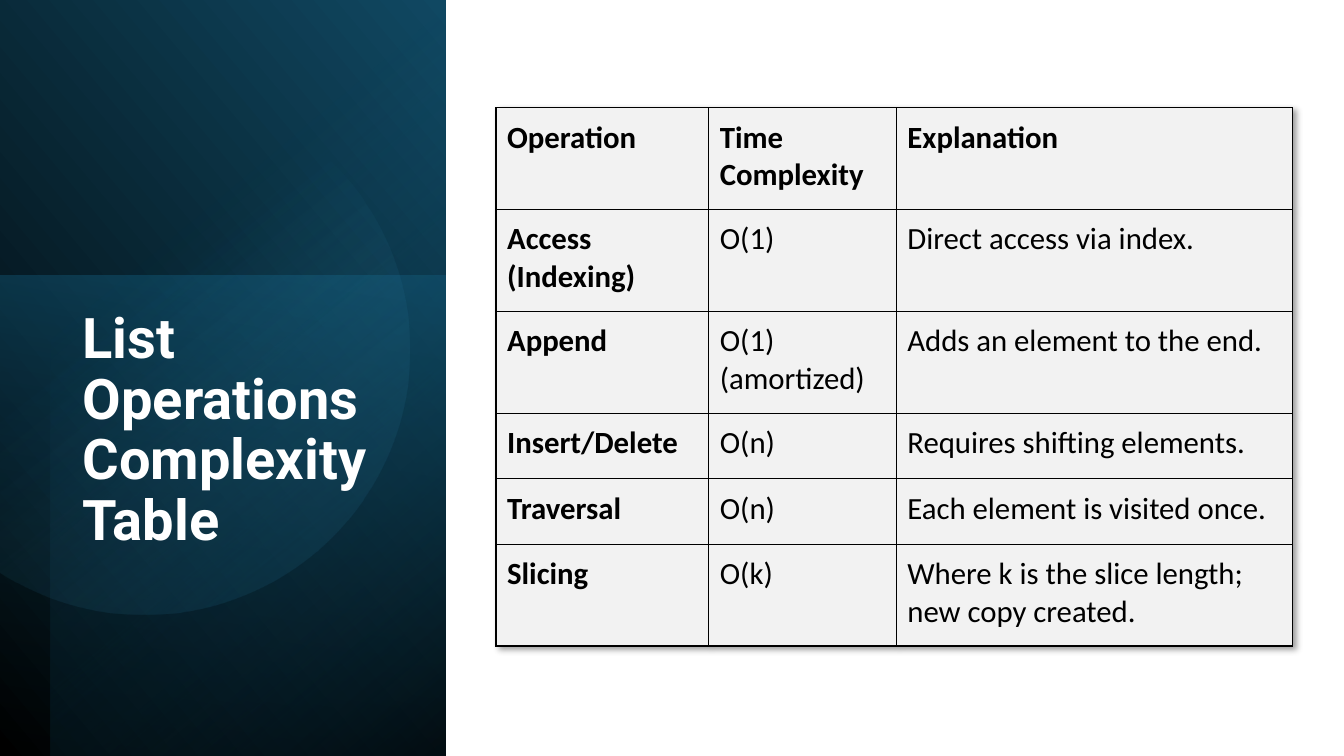
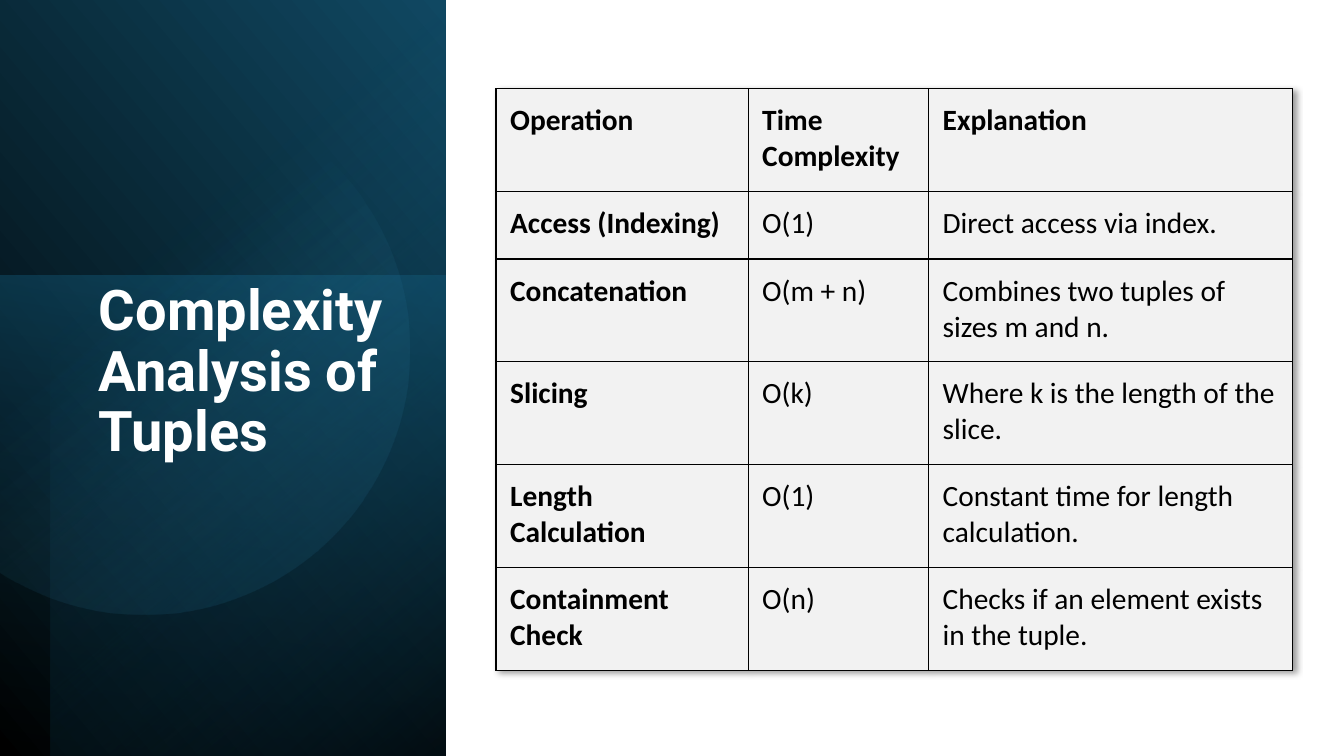
from math import acos, cos, degrees, radians, sin

from lxml import etree
from pptx import Presentation
from pptx.dml.color import RGBColor
from pptx.enum.shapes import MSO_SHAPE as Preset
from pptx.enum.text import MSO_ANCHOR as Anchor, MSO_AUTO_SIZE as AutoSize, PP_ALIGN as Align
from pptx.oxml import parse_xml
from pptx.oxml.ns import nsdecls, qn
from pptx.util import Inches, Pt

# Shared style
BLACK, WHITE, CELL_GREY = "000000", "FFFFFF", "F2F2F2"
DEEP_BLUE, NIGHT_BLUE, TEAL, SKY = "104862", "0B3041", "156082", "46B1E1"
TITLE_FONT, TABLE_FONT = "Roboto", "Calibri"
TITLE_SIZE = 40
TITLE_WIDTH, TITLE_HEIGHT = 3.15, 3.36
HEADER = ("Operation", "Time Complexity", "Explanation")


def rgb(color):
    return RGBColor.from_string(color)


def write_text(frame, text, font, size, color, bold=False, margins=(0.1, 0.05, 0.1, 0.05),
               line_spacing=None, space_after=0):
    """Write one left-aligned, top-anchored paragraph."""
    frame.word_wrap = True
    frame.vertical_anchor = Anchor.TOP
    (frame.margin_left, frame.margin_top,
     frame.margin_right, frame.margin_bottom) = map(Inches, margins)
    para = frame.paragraphs[0]
    para.alignment = Align.LEFT
    para.space_before, para.space_after = Pt(0), Pt(space_after)
    if line_spacing:
        para.line_spacing = line_spacing
    span = para.add_run()
    span.text = text
    span.font.name, span.font.size, span.font.bold = font, Pt(size), bold
    span.font.color.rgb = rgb(color)


def gradient_fill(shape, angle, *stops):
    """Fill with (position %, colour, opacity %) stops along a clockwise angle."""
    shape.shadow.inherit = False
    shape.line.fill.background()
    shape.fill.background()
    marks = "".join(
        f'<a:gs pos="{position * 1000}"><a:srgbClr val="{color}">'
        f'<a:alpha val="{opacity * 1000}"/></a:srgbClr></a:gs>'
        for position, color, opacity in stops)
    gradient = parse_xml(
        f'<a:gradFill {nsdecls("a")} rotWithShape="1"><a:gsLst>{marks}</a:gsLst>'
        f'<a:lin ang="{round(angle * 60000)}" scaled="0"/></a:gradFill>')
    properties = shape._element.spPr
    properties.replace(properties.find(qn("a:noFill")), gradient)


def add_turned_panel(page, left, top, width, height, turn, flip, angle, *stops):
    """Add a turned rectangle; the box is its upright visible area."""
    middle_x, middle_y = left + width / 2, top + height / 2
    panel = page.shapes.add_shape(
        Preset.RECTANGLE, Inches(middle_x - height / 2), Inches(middle_y - width / 2),
        Inches(height), Inches(width))
    panel.rotation = turn
    if flip:
        panel._element.spPr.find(qn("a:xfrm")).set("flipH", "1")
    gradient_fill(panel, angle, *stops)


def add_cut_circle(page, left, center_x, center_y, radius):
    """Add a circle cut off by the vertical line at left."""
    reach = degrees(acos((left - center_x) / radius))
    steps = 120
    turns = [radians(-reach + 2 * reach * step / steps) for step in range(steps + 1)]
    points = [(Inches(center_x + radius * cos(turn)), Inches(center_y + radius * sin(turn)))
              for turn in turns]
    outline = page.shapes.build_freeform(*points[0])
    outline.add_line_segments(points[1:], close=True)
    gradient_fill(outline.convert_to_shape(), 51.6, (39, SKY, 0), (100, DEEP_BLUE, 26))


def add_side_band(page, left, top, width, height):
    # Base colour, glow from the upper edge, shade in the lower right corner
    add_turned_panel(page, left, top, width, height, 90, True, 310,
                     (0, BLACK, 100), (100, DEEP_BLUE, 100))
    add_turned_panel(page, left, top + 2.73, width, 4.76, 270, False, 190,
                     (0, TEAL, 50), (100, NIGHT_BLUE, 0))
    add_turned_panel(page, left + 0.5, top, width - 0.5, height, 270, True, 220,
                     (0, BLACK, 59), (69, TEAL, 0))
    add_cut_circle(page, left, left + 1.43, top + 3.47, 2.63)


def add_title(page, text, left, top, inset_top):
    title = page.shapes.title
    title.left, title.top = Inches(left), Inches(top)
    title.width, title.height = Inches(TITLE_WIDTH), Inches(TITLE_HEIGHT)
    write_text(title.text_frame, text, TITLE_FONT, TITLE_SIZE, WHITE, bold=True,
               margins=(0.1, inset_top, 0.1, 0.05), line_spacing=0.9, space_after=6)
    title.text_frame.auto_size = AutoSize.NONE
    page.shapes._spTree.append(title._element)  # in front of the band


def border_cell(cell):
    properties = cell._tc.get_or_add_tcPr()
    for index, side in enumerate(("lnL", "lnR", "lnT", "lnB")):
        properties.insert(index, parse_xml(
            f'<a:{side} {nsdecls("a")} w="12700"><a:solidFill><a:srgbClr val="{BLACK}"/>'
            f'</a:solidFill></a:{side}>'))


def add_table_shadow(table):
    effects = etree.Element(qn("a:effectLst"))
    shadow = etree.SubElement(effects, qn("a:outerShdw"), blurRad="50800", dist="38100",
                              dir="2700000", algn="tl", rotWithShape="0")
    color = etree.SubElement(shadow, qn("a:srgbClr"), val=BLACK)
    etree.SubElement(color, qn("a:alpha"), val="40000")
    table._tbl.tblPr.insert(0, effects)


def add_complexity_table(page, left, top, rows, widths, heights, size, inset):
    rows = (HEADER, *rows)
    table = page.shapes.add_table(
        len(rows), len(widths), Inches(left), Inches(top),
        Inches(sum(widths)), Inches(sum(heights))).table
    table.first_row = table.horz_banding = False
    add_table_shadow(table)
    for column, width in zip(table.columns, widths):
        column.width = Inches(width)
    for row, height in zip(table.rows, heights):
        row.height = Inches(height)
    for row_index, row in enumerate(rows):
        for column_index, text in enumerate(row):
            cell = table.cell(row_index, column_index)
            cell.fill.solid()
            cell.fill.fore_color.rgb = rgb(CELL_GREY)
            write_text(cell.text_frame, text, TABLE_FONT, size, BLACK,
                       bold=row_index == 0 or column_index == 0)
            cell.vertical_anchor = Anchor.TOP
            cell.margin_left = cell.margin_right = Inches(inset)
            cell.margin_top = cell.margin_bottom = Inches(inset)
            # Cells take margins and anchor from their own properties only
            body = cell.text_frame._txBody.bodyPr
            body.attrib.clear()
            border_cell(cell)


def add_table_slide(deck, title, title_left, title_top, table_top, rows, widths, heights,
                    size, inset, title_inset=0.05):
    page = deck.slides.add_slide(deck.slide_layouts[5])
    page.background.fill.solid()
    page.background.fill.fore_color.rgb = rgb(WHITE)
    add_side_band(page, 0, 0, 4.42, 7.5)
    add_title(page, title, title_left, title_top, title_inset)
    add_complexity_table(page, 4.92, table_top, rows, widths, heights, size, inset)


def main():
    deck = Presentation()
    deck.slide_width, deck.slide_height = Inches(13.33), Inches(7.5)

    # List operations
    add_table_slide(
        deck, "List Operations Complexity Table", 0.72, 3.03, 1.07,
        rows=(
            ("Access (Indexing)", "O(1)", "Direct access via index."),
            ("Append", "O(1) (amortized)", "Adds an element to the end."),
            ("Insert/Delete", "O(n)", "Requires shifting elements."),
            ("Traversal", "O(n)", "Each element is visited once."),
            ("Slicing", "O(k)", "Where k is the slice length; new copy created."),
        ),
        widths=(2.11, 1.86, 3.93), heights=(1.01, 1.01, 1.01, 0.65, 0.65, 1.01),
        size=22, inset=0.11)

    # Tuple operations
    add_table_slide(
        deck, "Complexity Analysis of Tuples", 0.88, 2.08, 0.88,
        rows=(
            ("Access (Indexing)", "O(1)", "Direct access via index."),
            ("Concatenation", "O(m + n)", "Combines two tuples of sizes m and n."),
            ("Slicing", "O(k)", "Where k is the length of the slice."),
            ("Length Calculation", "O(1)", "Constant time for length calculation."),
            ("Containment Check", "O(n)", "Checks if an element exists in the tuple."),
        ),
        widths=(2.5, 1.79, 3.61), heights=(1.02, 0.67, 1.02, 1.02, 1.02, 1.02),
        size=21, inset=0.14, title_inset=0.72)

    deck.save("out.pptx")


if __name__ == "__main__":
    main()
